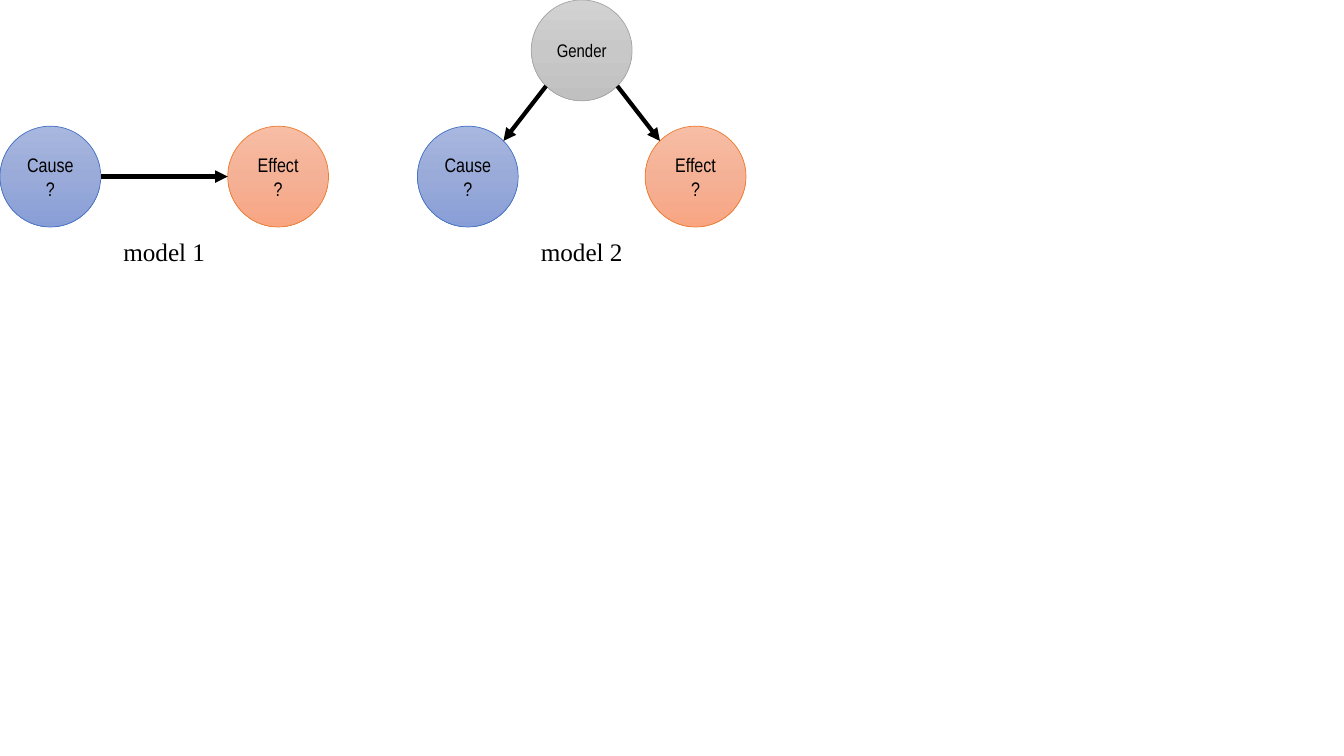
import copy
import math
from lxml import etree
from pptx import Presentation
from pptx.dml.color import RGBColor
from pptx.enum import shapes, text
from pptx.oxml.ns import qn
from pptx.util import Cm, Pt

BLACK = RGBColor(0, 0, 0)
BLUES = [RGBColor.from_string(c) for c in ("A8B7DF", "9AABD9", "889ED7", "4472C4")]
ORANGES = [RGBColor.from_string(c) for c in ("F7BDA5", "F5B196", "F8A582", "ED7D31")]
GREYS = [RGBColor.from_string(c) for c in ("D2D2D2", "C8C8C8", "C0C0C0", "A5A5A5")]

DIAMETER, SPAN = 2.54, 5.74
ROW_TOP, CAPTION_TOP, CAPTION_HEIGHT = 3.18, 5.84, 1.02

VARIABLES = {
    "cause": (["Cause", "?"], 14, BLUES, 0, ROW_TOP),
    "effect": (["Effect", "?"], 14, ORANGES, SPAN, ROW_TOP),
    "gender": (["Gender"], 13, GREYS, SPAN / 2, 0),
}
MODELS = [
    ("model 1", 0, ["cause", "effect"], [("cause", 6, "effect", 2)]),
    ("model 2", 10.52, ["cause", "effect", "gender"],
     [("gender", 5, "effect", 1), ("gender", 3, "cause", 7)]),
]


def write(frame, lines, font_format):
    frame.word_wrap = True
    frame.text = "\n".join(lines)
    for paragraph in frame.paragraphs:
        paragraph.alignment = text.PP_ALIGN.CENTER
        paragraph.font.color.rgb = BLACK
        for key, value in font_format.items():
            setattr(paragraph.font, key, value)


def add_variable(slide, name, model_left):
    lines, size, colours, left, top = VARIABLES[name]
    circle = slide.shapes.add_shape(
        shapes.MSO_SHAPE.OVAL, Cm(model_left + left), Cm(top), Cm(DIAMETER), Cm(DIAMETER))
    circle.shadow.inherit = False
    circle.fill.gradient()
    circle.fill.gradient_angle = 270
    first = circle._element.spPr.find(".//" + qn("a:gs"))
    first.addnext(copy.deepcopy(first))
    for stop, colour, position in zip(circle.fill.gradient_stops, colours, (0, 0.5, 1)):
        stop.color.rgb = colour
        stop.position = position
    circle.line.color.rgb = colours[-1]
    circle.line.width = Pt(0.5)
    frame = circle.text_frame
    frame.vertical_anchor = text.MSO_ANCHOR.MIDDLE
    for side in ("left", "right", "top", "bottom"):
        setattr(frame, "margin_" + side, 0)
    write(frame, lines, {"name": "Arial Narrow", "size": Pt(size)})
    return circle


def rim_point(circle, site):
    angle = math.radians(90 + 45 * site)
    radius = circle.width / 2
    return (round(circle.left + radius + radius * math.cos(angle)),
            round(circle.top + radius - radius * math.sin(angle)))


def add_arrow(slide, source, source_site, target, target_site):
    arrow = slide.shapes.add_connector(
        shapes.MSO_CONNECTOR.STRAIGHT,
        *rim_point(source, source_site), *rim_point(target, target_site))
    arrow.line.color.rgb = BLACK
    arrow.line.width = Pt(3)
    etree.SubElement(arrow.line._get_or_add_ln(), qn("a:tailEnd"), type="triangle")
    etree.SubElement(arrow._element.spPr, qn("a:effectLst"))
    links = arrow._element.find(".//" + qn("p:cNvCxnSpPr"))
    for tag, circle, site in (("a:stCxn", source, source_site), ("a:endCxn", target, target_site)):
        etree.SubElement(links, qn(tag), id=str(circle.shape_id), idx=str(site))


deck = Presentation()
deck.slide_width, deck.slide_height = Cm(33.87), Cm(19.05)
slide = deck.slides.add_slide(deck.slide_layouts[6])

for caption, left, names, effects in MODELS:
    circles = {name: add_variable(slide, name, left) for name in names}
    for source, source_site, target, target_site in effects:
        add_arrow(slide, circles[source], source_site, circles[target], target_site)
    label = slide.shapes.add_textbox(
        Cm(left), Cm(CAPTION_TOP), Cm(SPAN + DIAMETER), Cm(CAPTION_HEIGHT))
    write(label.text_frame, [caption], {"name": "Times New Roman", "size": Pt(18)})

deck.save("out.pptx")
